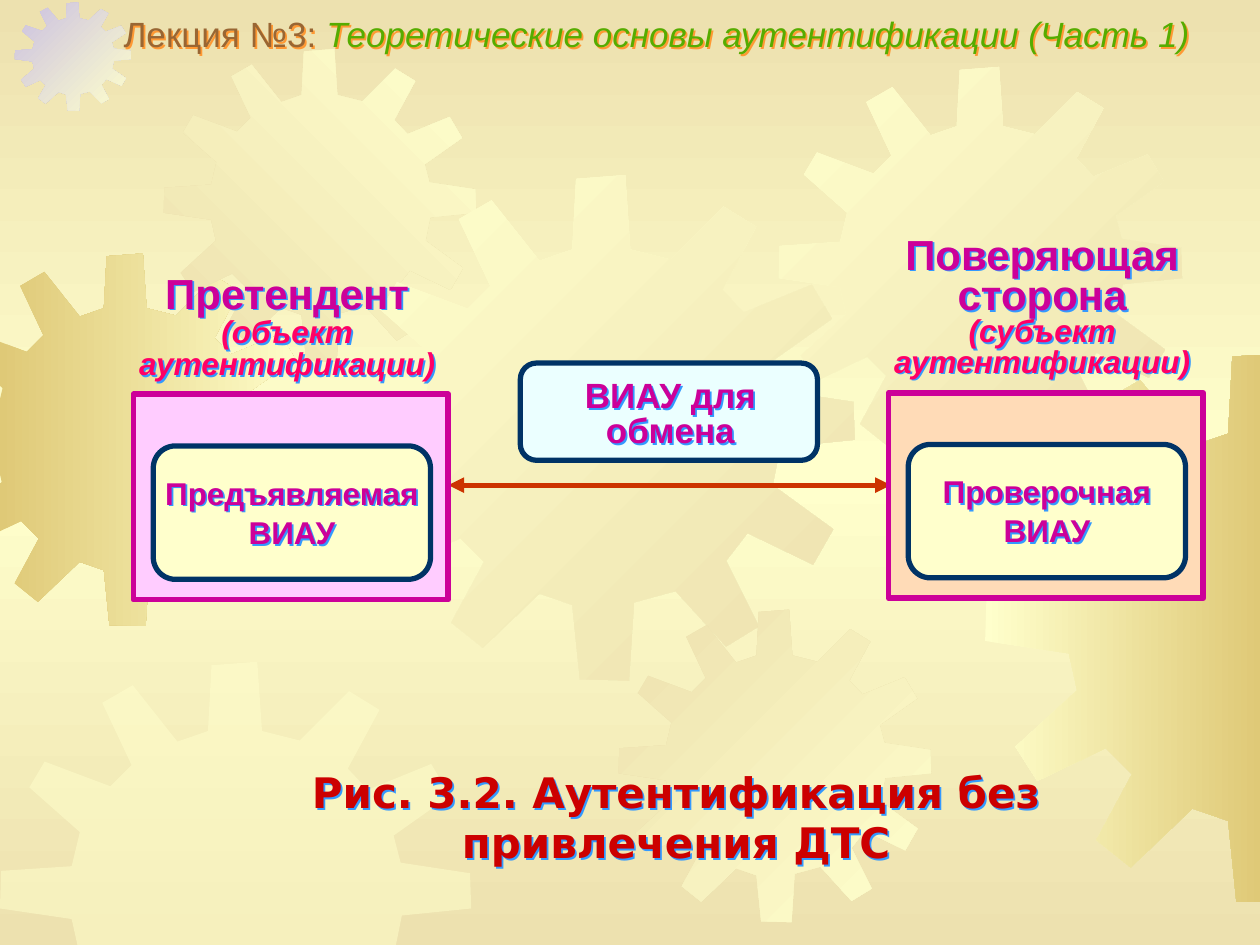
import copy

import lxml.etree
import pptx
import pptx.dml.color
import pptx.enum.dml
import pptx.enum.shapes
import pptx.enum.text
import pptx.oxml.ns
import pptx.util

Cm = pptx.util.Cm
Pt = pptx.util.Pt
qn = pptx.oxml.ns.qn
RGBColor = pptx.dml.color.RGBColor
Shapes = pptx.enum.shapes.MSO_SHAPE
Anchor = pptx.enum.text.MSO_ANCHOR
Align = pptx.enum.text.PP_ALIGN

CREAM = RGBColor(0xFF, 0xFF, 0xCC)
SAND = RGBColor(0xED, 0xE1, 0xAF)
GOLD = RGBColor(0xDF, 0xC9, 0x77)
LILAC = RGBColor(0xCA, 0xC0, 0xE2)
MAGENTA = RGBColor(0xCC, 0x00, 0x99)
PINK = RGBColor(0xFF, 0x00, 0x66)
RED = RGBColor(0xCC, 0x00, 0x00)
RUST = RGBColor(0xCC, 0x33, 0x00)
NAVY = RGBColor(0x00, 0x33, 0x66)
BROWN = RGBColor(0x99, 0x66, 0x33)
GREEN = RGBColor(0x56, 0xAC, 0x00)
ICE = RGBColor(0xEB, 0xFF, 0xFF)
ROSE = RGBColor(0xFF, 0xCC, 0xFF)
PEACH = RGBColor(0xFF, 0xDB, 0xB7)
BLUE_SHADOW = RGBColor(0x33, 0x99, 0xFF)
ORANGE_SHADOW = RGBColor(0xFF, 0x99, 0x33)

WIDTH, HEIGHT = 25.4, 19.05
GEAR_UNITS = 401
GEAR_OUTLINE = [
    (255, 67), (223, 59), (219, 0), (180, 3), (177, 59), (151, 68), (113, 20), (87, 35),
    (112, 88), (94, 106), (38, 85), (25, 107), (68, 145), (61, 174), (1, 178), (0, 210),
    (61, 219), (67, 246), (22, 287), (38, 312), (88, 288), (107, 307), (81, 355), (106, 375),
    (151, 332), (177, 341), (183, 400), (222, 401), (226, 339), (259, 330), (299, 374), (325, 358),
    (299, 306), (316, 284), (368, 309), (384, 281), (336, 246), (342, 216), (401, 210), (400, 180),
    (341, 171), (335, 148), (383, 114), (367, 87), (313, 109), (296, 91), (323, 41), (297, 25),
]
GEARS = [
    (-1.22, 5.11, 7.51, 7.51, (GOLD, CREAM), 0),
    (0.3, 0.05, 2.34, 2.18, (LILAC, CREAM), 45),
    (3.3, 0.99, 6.3, 6.3, (SAND, CREAM), 315),
    (7.04, 3.53, 10.19, 10.19, (CREAM, SAND), 45),
    (0, 13.34, 9.5, 9.5, (CREAM,), 0),
    (12.47, 12.29, 6.3, 6.3, (SAND, CREAM), 45),
    (15.7, 1.35, 8.13, 8.13, (CREAM, SAND), 45),
    (19.86, 7.11, 11.1, 11.1, (CREAM, GOLD), 0),
]

TITLE = [("Лекция №3: ", BROWN, False),
         ("Теоретические основы аутентификации (Часть 1)", GREEN, True)]
CAPTION = ["Рис. 3.2. Аутентификация без", "привлечения ДТС"]
EXCHANGE = "ВИАУ для обмена"
PARTIES = [
    dict(left=2.69, top=7.95, fill=ROSE, name="Претендент", role="(объект аутентификации)",
         rise=2.41, height=2.16, anchor=Anchor.TOP, spacing=0.85,
         data=["Предъявляемая ВИАУ"]),
    dict(left=17.91, top=7.92, fill=PEACH, name="Поверяющая сторона", role="(субъект аутентификации)",
         rise=3.12, height=2.84, anchor=Anchor.MIDDLE, spacing=0.8,
         data=["Проверочная", "ВИАУ"]),
]


def clip(points, axis, limit, sign):
    kept = []
    for start, end in zip(points, points[1:] + points[:1]):
        start_inside = sign * (limit - start[axis]) >= 0
        end_inside = sign * (limit - end[axis]) >= 0
        if start_inside:
            kept.append(start)
        if start_inside != end_inside:
            share = (limit - start[axis]) / (end[axis] - start[axis])
            kept.append(tuple(a + share * (b - a) for a, b in zip(start, end)))
    return kept


def set_gradient(fill, element, colors, angle):
    fill.gradient()
    stop_list = element.find(".//" + qn("a:gsLst"))
    while len(stop_list) < len(colors):
        stop_list.append(copy.deepcopy(stop_list[0]))
    for index, (stop, color) in enumerate(zip(fill.gradient_stops, colors)):
        stop.position = index / (len(colors) - 1)
        stop.color.rgb = color
    fill.gradient_angle = -angle % 360


def add_gear(page, left, top, width, height, colors, angle):
    points = [(left + x * width / GEAR_UNITS, top + y * height / GEAR_UNITS) for x, y in GEAR_OUTLINE]
    for axis, limit, sign in ((0, 0, -1), (0, WIDTH, 1), (1, HEIGHT, 1)):
        points = clip(points, axis, limit, sign)
    corners = [(Cm(x), Cm(y)) for x, y in points]
    builder = page.shapes.build_freeform(*corners[0])
    builder.add_line_segments(corners[1:], close=True)
    gear = builder.convert_to_shape()
    gear.shadow.inherit = False
    gear.line.fill.background()
    if len(colors) > 1:
        set_gradient(gear.fill, gear.element, colors, angle)
    else:
        gear.fill.solid()
        gear.fill.fore_color.rgb = colors[0]
        color_element = gear.element.spPr.find(qn("a:solidFill"))[0]
        lxml.etree.SubElement(color_element, qn("a:alpha"), val="50000")


def add_panel(page, kind, place, fill, line, weight):
    panel = page.shapes.add_shape(kind, *map(Cm, place))
    panel.shadow.inherit = False
    panel.fill.solid()
    panel.fill.fore_color.rgb = fill
    panel.line.color.rgb = line
    panel.line.width = Pt(weight)


def prepare_text(box, anchor, shadow_color):
    frame = box.text_frame
    frame.word_wrap = True
    frame.auto_size = pptx.enum.text.MSO_AUTO_SIZE.NONE
    frame.margin_left = frame.margin_right = frame.margin_top = frame.margin_bottom = 0
    frame.vertical_anchor = anchor
    box.shadow.inherit = False
    effects = box.element.spPr.find(qn("a:effectLst"))
    shadow = lxml.etree.SubElement(effects, qn("a:outerShdw"), dist="18000", dir="2700000", algn="ctr")
    lxml.etree.SubElement(shadow, qn("a:srgbClr"), val=str(shadow_color))
    return frame


def style(span, size, color, bold=True, italic=False, name="Arial"):
    span.font.name, span.font.size = name, Pt(size)
    span.font.bold, span.font.italic = bold, italic
    span.font.color.rgb = color


def add_text(page, place, lines, spacing, anchor=Anchor.MIDDLE):
    box = page.shapes.add_textbox(*map(Cm, place))
    frame = prepare_text(box, anchor, BLUE_SHADOW)
    frame.text = "\n".join(line[0] for line in lines)
    for para, (_, *look) in zip(frame.paragraphs, lines):
        para.alignment = Align.CENTER
        para.line_spacing = spacing
        style(para.runs[0], *look)


def add_title(page):
    box = page.shapes.title
    box.left, box.top, box.width, box.height = Cm(2.49), Cm(0.33), Cm(22.9), Cm(0.79)
    para = prepare_text(box, Anchor.MIDDLE, ORANGE_SHADOW).paragraphs[0]
    para.alignment = Align.LEFT
    para.line_spacing = 0.9
    for words, color, italic in TITLE:
        span = para.add_run()
        span.text = words
        style(span, 20, color, False, italic)


def add_exchange_arrow(page):
    arrow = page.shapes.add_connector(
        pptx.enum.shapes.MSO_CONNECTOR.STRAIGHT, Cm(9.04), Cm(9.78), Cm(17.96), Cm(9.78))
    arrow.line.color.rgb = RUST
    arrow.line.width = Pt(3)
    for end in ("a:headEnd", "a:tailEnd"):
        lxml.etree.SubElement(arrow.line._get_or_add_ln(), qn(end), type="triangle")
    lxml.etree.SubElement(arrow.element.spPr, qn("a:effectLst"))


def add_party(page, party):
    left, top = party["left"], party["top"]
    add_text(page, (left, top - party["rise"], 6.2, party["height"]),
             [(party["name"], 24, MAGENTA), (party["role"], 18, PINK, True, True)],
             party["spacing"], party["anchor"])
    add_panel(page, Shapes.RECTANGLE, (left, top, 6.35, 4.14), party["fill"], MAGENTA, 3.25)
    add_panel(page, Shapes.ROUNDED_RECTANGLE, (left + 0.4, top + 1.04, 5.59, 2.69), CREAM, NAVY, 3)
    add_text(page, (left + 0.4, top + 1.57, 5.59, 1.57),
             [(line, 18, MAGENTA) for line in party["data"]], 1.04, Anchor.TOP)


def main():
    deck = pptx.Presentation()
    deck.slide_width, deck.slide_height = Cm(WIDTH), Cm(HEIGHT)
    page = deck.slides.add_slide(deck.slide_layouts[5])
    set_gradient(page.background.fill, page.element, (SAND, CREAM, SAND), 90)
    for gear in GEARS:
        add_gear(page, *gear)
    add_text(page, (2.57, 15.44, 22.12, 2.06),
             [(line, 24, RED, True, False, "DejaVu Sans") for line in CAPTION], 1.0)
    add_title(page)
    add_exchange_arrow(page)
    add_panel(page, Shapes.ROUNDED_RECTANGLE, (10.49, 7.32, 5.99, 1.96), ICE, NAVY, 3)
    add_text(page, (10.72, 7.67, 5.59, 1.42), [(EXCHANGE, 20, MAGENTA)], Pt(20))
    for party in PARTIES:
        add_party(page, party)
    title = page.shapes.title.element
    page.shapes.element.append(title)
    deck.save("out.pptx")


if __name__ == "__main__":
    main()
